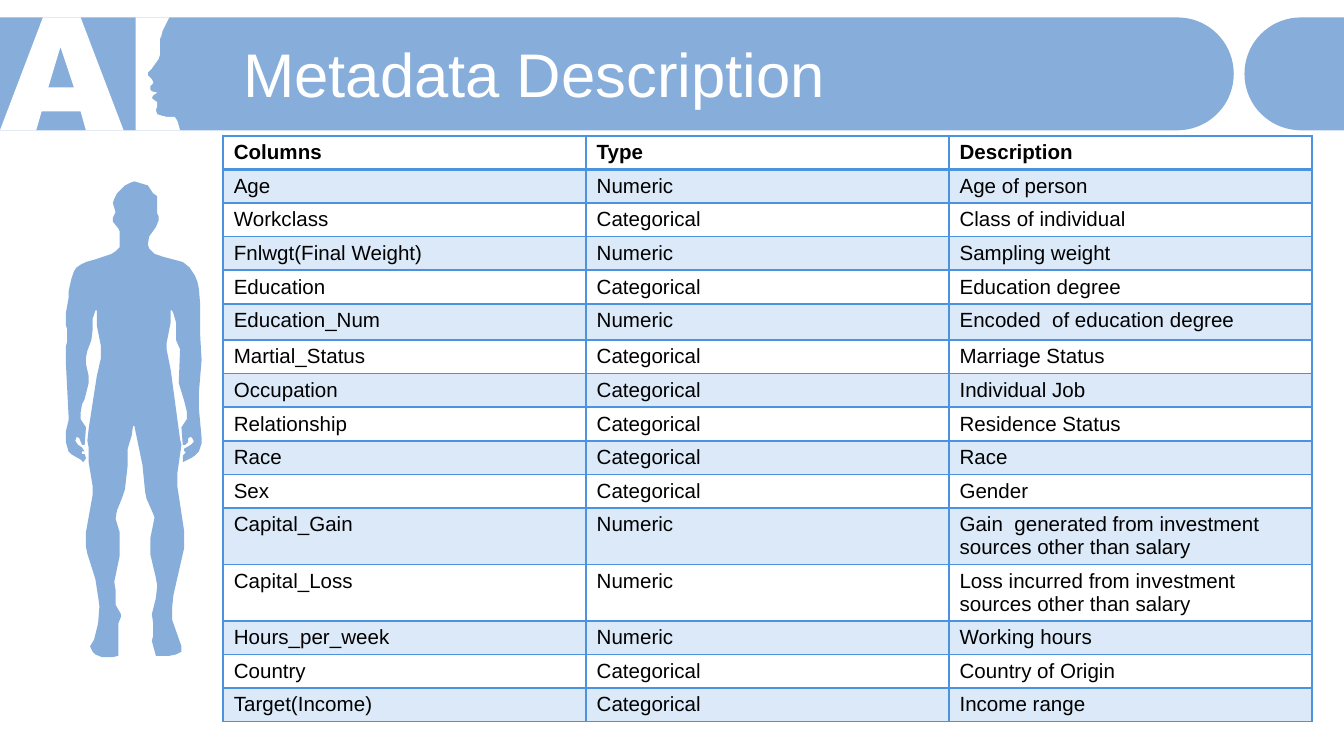
import math
from dataclasses import dataclass

import lxml.etree
import pptx
import pptx.dml.color
import pptx.enum.text
import pptx.oxml.ns
import pptx.util

SLIDE_WIDTH = pptx.util.Inches(10)
SLIDE_HEIGHT = SLIDE_WIDTH * 9 // 16
GRID_STEP = pptx.util.Inches(0.01)
FONT = "Arial"
BAND_BLUE, TABLE_BLUE, WHITE, BLACK = "87ADDB", "4C93DF", "FFFFFF", "000000"

Point = tuple[float, float]


@dataclass(frozen=True)
class Box:
    left: float
    top: float
    width: float
    height: float

    def emu(self) -> tuple[int, ...]:
        sizes = (SLIDE_WIDTH, SLIDE_HEIGHT) * 2
        shares = (self.left, self.top, self.width, self.height)
        return tuple(round(share * size / 100) for share, size in zip(shares, sizes))


@dataclass(frozen=True)
class Outline:
    contours: list[list[Point]]
    color: str


@dataclass(frozen=True)
class Field:
    name: str
    kind: str
    meaning: str
    height: float = 0.23


TITLE_BOX = Box(17.4, 5, 80.2, 10.5)
TABLE_BOX = Box(16.6, 17.95, 81, 80.2)

FIELDS = [
    Field("Columns", "Type", "Description", 0.24),
    Field("Age", "Numeric", "Age of person"),
    Field("Workclass", "Categorical", "Class of individual"),
    Field("Fnlwgt(Final Weight)", "Numeric", "Sampling weight"),
    Field("Education", "Categorical", "Education degree"),
    Field("Education_Num", "Numeric", "Encoded  of education degree", 0.27),
    Field("Martial_Status", "Categorical", "Marriage Status"),
    Field("Occupation", "Categorical", "Individual Job"),
    Field("Relationship", "Categorical", "Residence Status"),
    Field("Race", "Categorical", "Race"),
    Field("Sex", "Categorical", "Gender"),
    Field("Capital_Gain", "Numeric", "Gain  generated from investment sources other than salary", 0.4),
    Field("Capital_Loss", "Numeric", "Loss incurred from investment sources other than salary", 0.4),
    Field("Hours_per_week", "Numeric", "Working hours"),
    Field("Country", "Categorical", "Country of Origin"),
    Field("Target(Income)", "Categorical", "Income range"),
]

LETTER = "32,13 60,13 92,97 64,97 60,83 31,83 27,97 0,97"
LETTER_HOLE = "45,35 36,65 55,65"
FACE = """101,13 126,13 125,15 121,23 120,27 119,29 119,41 118,44 113,51 110,54 110,56 113,59 114,61
114,62 112,64 112,67 113,68 117,69 114,71 113,73 114,74 117,76 117,79 116,82 117,85 120,86 124,87
130,87 132,90 134,97 101,97"""
HEAD_AND_RIGHT_ARM = """100,135 110,138 114,144 117,146 117,159 118,161 118,164 116,169 111,176
110,182 111,185 115,189 121,191 136,195 141,199 145,205 147,210 148,215 149,227 149,250 150,268
149,280 148,292 148,304 150,326 150,330 148,336 145,339 142,341 136,344 136,339 138,337 138,336
137,336 137,334 142,331 144,329 144,328 143,326 142,325 140,326 140,329 138,331 136,331 135,318
139,312 139,306 137,298 133,285 134,260 131,253 131,240 129,233 128,231 127,231"""
RIGHT_LEG = """127,240 124,255 124,260 127,275 134,327 135,331 132,352 132,362 137,395 137,408
129,443 128,453 128,461 135,481 135,485 131,487 126,488 116,488 113,477 114,473 114,464 113,457
116,445 117,436 116,430 112,413 112,400 115,385 113,380 109,371 108,366 106,346 100,317"""
LEFT_LEG = """99,317 98,324 95,334 95,346 93,364 91,370 87,380 86,386 89,396 89,414 85,433 86,439
86,450 90,457 90,459 88,464 88,488 84,489 76,489 71,487 69,485 67,481 70,476 73,464 74,451 73,444
71,431 65,412 64,407 64,396 69,368 69,362 66,344 66,333 65,328 66,319 72,280 75,267 75,257 72,242"""
LEFT_ARM_AND_NECK = """72,231 71,231 69,237 69,245 68,253 65,261 64,266 64,271 66,280 66,285 63,297
61,301 60,307 60,312 64,318 63,331 61,331 59,326 57,325 56,328 58,331 61,333 63,336 61,336 61,338
63,338 64,341 62,344 60,342 53,338 51,336 49,329 49,321 51,313 51,309 49,270 49,258 50,254 50,245
49,242 49,233 51,222 51,217 53,208 55,202 57,199 60,197 64,195 71,193 83,189 86,187 89,184 89,172
88,170 84,165 84,162 86,158 84,151 85,148 87,144 93,138 97,136"""


def points(*parts: str) -> list[Point]:
    pairs = [pair.split(",") for part in parts for pair in part.split()]
    return [(float(x), float(y)) for x, y in pairs]


def band(flat_end: float, cap_center: float, side: int) -> list[Point]:
    middle, radius = 55, 42
    cap = [
        (cap_center + side * radius * math.cos(math.radians(angle)),
         middle + radius * math.sin(math.radians(angle)))
        for angle in range(-90, 91, 5)
    ]
    return [(flat_end, middle - radius), *cap, (flat_end, middle + radius)]


def rgb(color: str) -> pptx.dml.color.RGBColor:
    return pptx.dml.color.RGBColor.from_string(color)


def draw_outline(slide, outline: Outline) -> None:
    contours = [[(x * GRID_STEP, y * GRID_STEP) for x, y in contour] for contour in outline.contours]
    builder = slide.shapes.build_freeform(*contours[0][0])
    for index, contour in enumerate(contours):
        if index:
            builder.move_to(*contour[0])
        builder.add_line_segments(contour[1:], close=True)
    silhouette = builder.convert_to_shape()
    silhouette.shadow.inherit = False
    silhouette.fill.solid()
    silhouette.fill.fore_color.rgb = rgb(outline.color)
    silhouette.line.fill.background()


def write(paragraph, wording: str, size: float, color: str, bold: bool = False) -> None:
    run = paragraph.add_run()
    run.text = wording
    run.font.name = FONT
    run.font.size = pptx.util.Pt(size)
    run.font.bold = bold
    run.font.color.rgb = rgb(color)


def set_margins(area, side: float, end: float) -> None:
    area.margin_left = area.margin_right = pptx.util.Inches(side)
    area.margin_top = area.margin_bottom = pptx.util.Inches(end)


def draw_title(slide, wording: str) -> None:
    title = slide.shapes.title
    slide.shapes.element.append(title.element)
    title.left, title.top, title.width, title.height = TITLE_BOX.emu()
    frame = title.text_frame
    frame.auto_size = pptx.enum.text.MSO_AUTO_SIZE.NONE
    frame.word_wrap = True
    frame.vertical_anchor = pptx.enum.text.MSO_ANCHOR.MIDDLE
    set_margins(frame, 0.07, 0.04)
    heading = frame.paragraphs[0]
    heading.alignment = pptx.enum.text.PP_ALIGN.LEFT
    heading.line_spacing = 0.9
    write(heading, wording, 33, WHITE)


def add_borders(cell, row: int) -> None:
    properties = cell._tc.get_or_add_tcPr()
    qn = pptx.oxml.ns.qn
    for edge in "LRTB":
        thick = (row, edge) in ((0, "B"), (1, "T"))
        width = pptx.util.Pt(2 if thick else 1)
        border = lxml.etree.SubElement(properties, qn(f"a:ln{edge}"), w=str(width))
        paint = lxml.etree.SubElement(border, qn("a:solidFill"))
        lxml.etree.SubElement(paint, qn("a:srgbClr"), val=TABLE_BLUE)


def fill_cell(cell, shaded: bool) -> None:
    if not shaded:
        cell.fill.background()
        return
    cell.fill.solid()
    cell.fill.fore_color.rgb = rgb(TABLE_BLUE)
    qn = pptx.oxml.ns.qn
    tint = cell._tc.tcPr.find(f"{qn('a:solidFill')}/{qn('a:srgbClr')}")
    lxml.etree.SubElement(tint, qn("a:alpha"), val="20000")


def draw_fields(slide, fields: list[Field]) -> None:
    table = slide.shapes.add_table(len(fields), 3, *TABLE_BOX.emu()).table
    table.horz_banding = False
    for row, field in enumerate(fields):
        table.rows[row].height = pptx.util.Inches(field.height)
        for column, wording in enumerate((field.name, field.kind, field.meaning)):
            cell = table.cell(row, column)
            set_margins(cell, 0.08, 0.04)
            add_borders(cell, row)
            fill_cell(cell, shaded=row % 2 == 1)
            write(cell.text_frame.paragraphs[0], wording, 11, BLACK, bold=row == 0)


def main() -> None:
    deck = pptx.Presentation()
    deck.slide_width, deck.slide_height = SLIDE_WIDTH, SLIDE_HEIGHT
    slide = deck.slides.add_slide(deck.slide_layouts[5])
    for outline in (
        Outline([band(0, 876, 1)], BAND_BLUE),
        Outline([points(LETTER), points(LETTER_HOLE), points(FACE)], WHITE),
        Outline([band(1000, 968, -1)], BAND_BLUE),
    ):
        draw_outline(slide, outline)
    draw_title(slide, "Metadata Description")
    body = points(HEAD_AND_RIGHT_ARM, RIGHT_LEG, LEFT_LEG, LEFT_ARM_AND_NECK)
    draw_outline(slide, Outline([body], BAND_BLUE))
    draw_fields(slide, FIELDS)
    deck.save("out.pptx")


if __name__ == "__main__":
    main()
